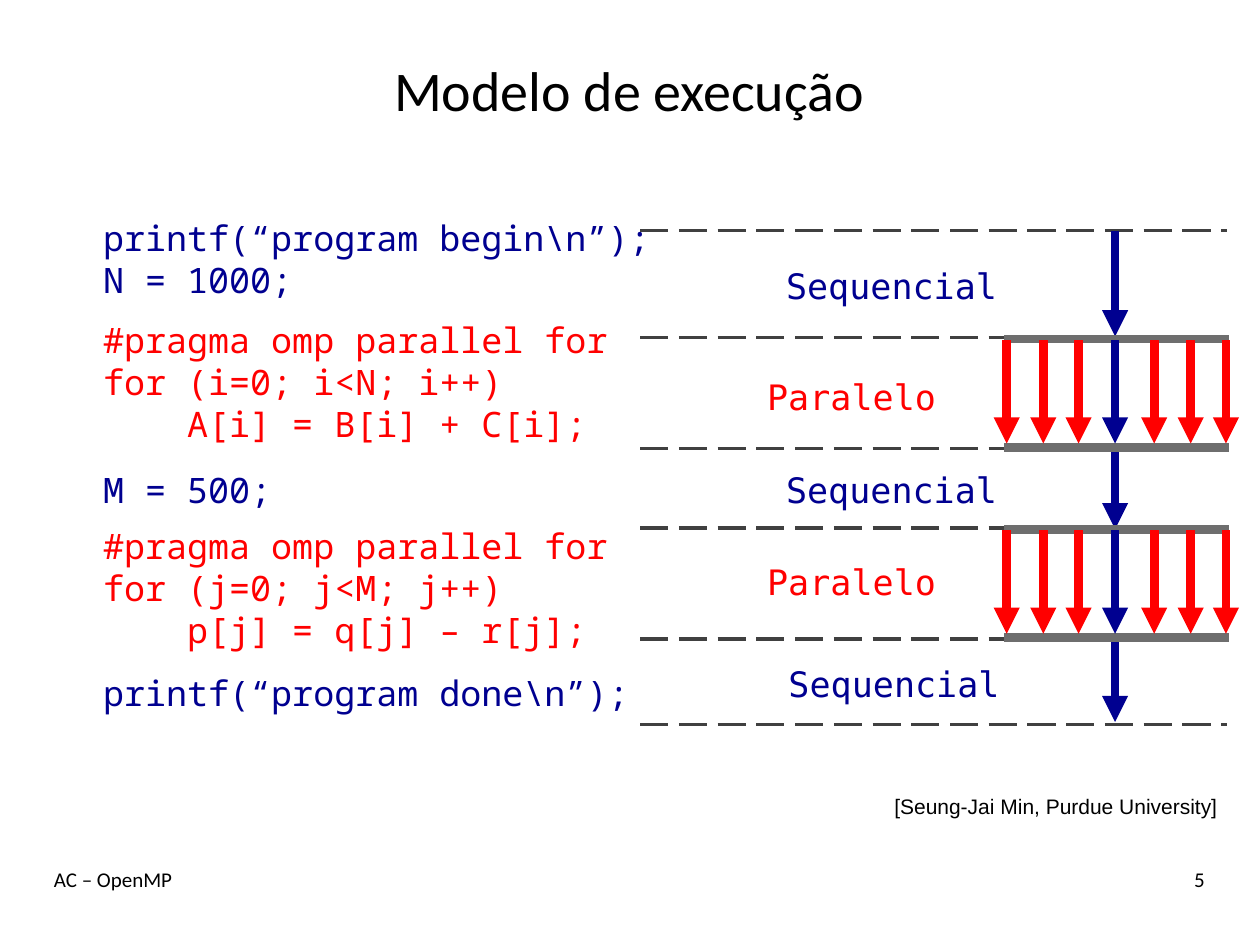
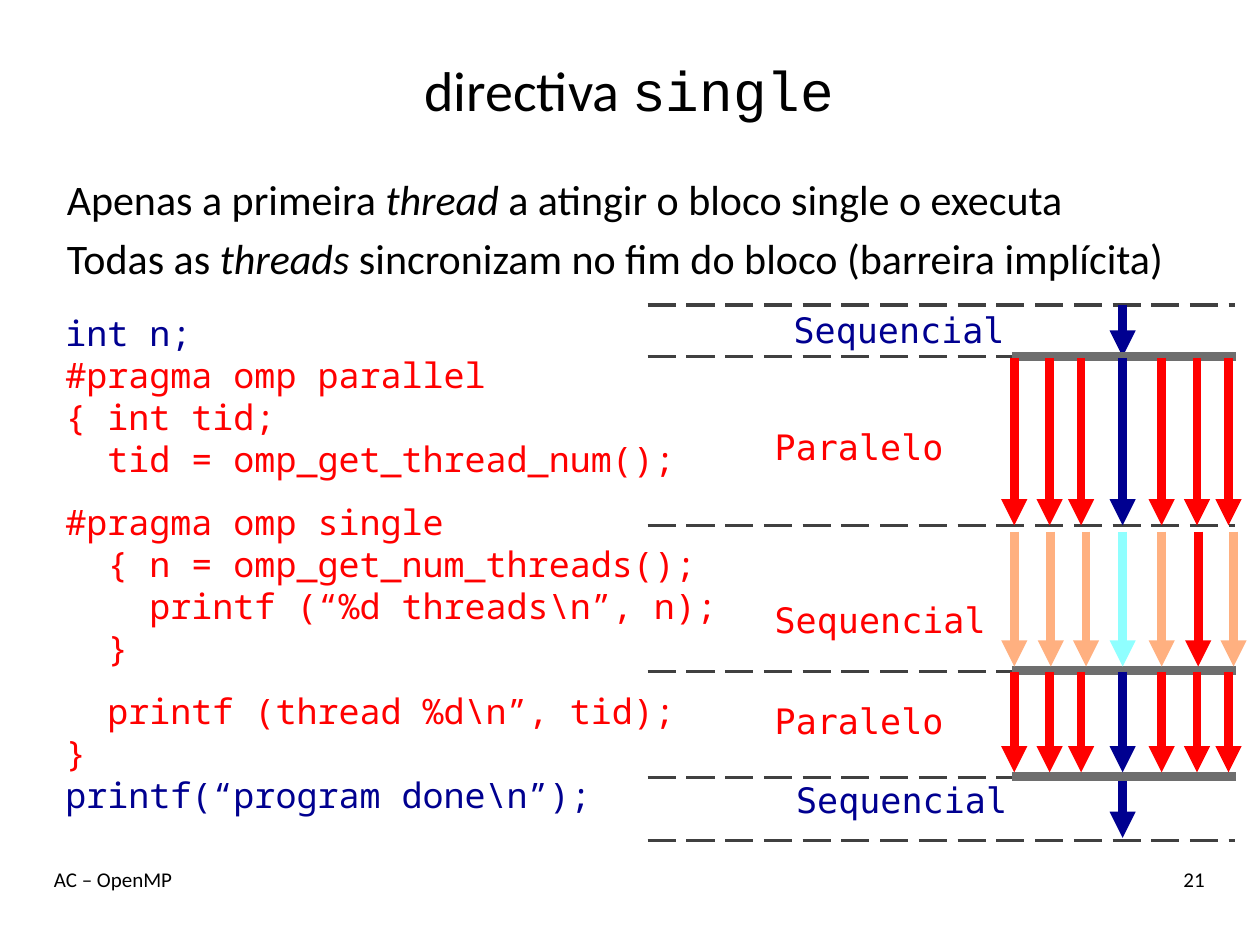
from pptx import Presentation
from pptx.dml.color import RGBColor
from pptx.enum.dml import MSO_LINE
from pptx.enum.shapes import MSO_CONNECTOR
from pptx.enum.text import MSO_ANCHOR, MSO_AUTO_SIZE, PP_ALIGN
from pptx.oxml.ns import qn
from pptx.util import Inches, Pt
from lxml.etree import SubElement

COLORS = {"black": "000000", "navy": "000090", "red": "FF0000", "dash": "404040",
          "bar": "6E6E6E", "idle": "FFB080", "idle_main": "8FFFFF"}
BODY_FONT, CODE_FONT, LABEL_FONT = "Calibri", "Noto Sans Mono", "DejaVu Sans Mono"
FOOTER = "AC – OpenMP"

# Horizontal places of the threads, measured from the main thread
ALONE = (0,)
WIDE = (-0.86, -0.57, -0.29, 0, 0.31, 0.6, 0.88)
TIGHT = (-0.86, -0.58, -0.33, 0, 0.31, 0.59, 0.84)
MAIN = ("navy",)
TEAM = ("red",) * 3 + MAIN + ("red",) * 3
ONE_ACTIVE = ("idle",) * 3 + ("idle_main", "idle", "red", "idle")

# A paragraph is (text or list of runs, format); a run is (text, format)
NAVY, RED = {"color": "navy"}, {"color": "red"}
MODEL_CODE = [
    ("printf(“program begin\\n”);", NAVY),
    ("N = 1000;", {**NAVY, "after": 10}),
    ("#pragma omp parallel for", RED),
    ("for (i=0; i<N; i++) ", RED),
    ("    A[i] = B[i] + C[i];", RED),
    ("M = 500;", {**NAVY, "before": 14, "after": 8}),
    ("#pragma omp parallel for", RED),
    ("for (j=0; j<M; j++) ", RED),
    ("    p[j] = q[j] – r[j];", RED),
    ("printf(“program done\\n”);", {**NAVY, "before": 12}),
]
SINGLE_CODE = [
    ("int n;", NAVY),
    ("#pragma omp parallel ", RED),
    ("{ int tid;", RED),
    ("  tid = omp_get_thread_num();", RED),
    ("#pragma omp single ", {**RED, "before": 12}),
    ("  { n = omp_get_num_threads();", RED),
    ("    printf (“%d threads\\n”, n);", RED),
    ("  }", RED),
    ("  printf (thread %d\\n”, tid);", {**RED, "before": 12}),
    ("}", RED),
    ("printf(“program done\\n”);", NAVY),
]
SINGLE_POINTS = [
    ([("Apenas a primeira ", {}), ("thread", {"italic": True}),
      (" a atingir o bloco single o executa", {})], {}),
    ([("Todas as ", {}), ("threads ", {"italic": True}),
      ("sincronizam no fim do bloco (barreira implícita)", {})], {}),
]

# Phase: label, label left, label top, label colour, arrow top, arrow bottom, offsets, colours
MODEL_DIAGRAM = {
    "main": 8.85,
    "dashes": (1.83, 2.68, 3.56, 4.19, 5.07, 5.75),
    "bars": (2.69, 3.55, 4.2, 5.06),
    "phases": [
        ("Sequencial", 6.14, 2.05, "navy", 1.83, 2.67, ALONE, MAIN),
        ("Paralelo", 5.99, 2.93, "red", 2.7, 3.52, WIDE, TEAM),
        ("Sequencial", 6.14, 3.67, "navy", 3.55, 4.2, ALONE, MAIN),
        ("Paralelo", 5.99, 4.4, "red", 4.21, 5.03, WIDE, TEAM),
        ("Sequencial", 6.16, 5.21, "navy", 5.08, 5.73, ALONE, MAIN),
    ],
}
SINGLE_DIAGRAM = {
    "main": 8.91,
    "dashes": (2.42, 2.83, 4.17, 5.33, 6.17, 6.67),
    "bars": (2.83, 5.32, 6.16),
    "phases": [
        ("Sequencial", 6.2, 2.4, "navy", 2.42, 2.83, ALONE, MAIN),
        ("Paralelo", 6.05, 3.33, "red", 2.84, 4.17, TIGHT, TEAM),
        ("Sequencial", 6.05, 4.7, "red", 4.22, 5.29, WIDE, ONE_ACTIVE),
        ("Paralelo", 6.05, 5.5, "red", 5.33, 6.13, TIGHT, TEAM),
        ("Sequencial", 6.22, 6.13, "navy", 6.2, 6.65, ALONE, MAIN),
    ],
}


def write(shape, paragraphs, *, font=BODY_FONT, size=20, color="black", align=PP_ALIGN.LEFT,
          anchor=MSO_ANCHOR.TOP, wrap=True, pitch=None, before=0, after=0):
    """Fill a shape with paragraphs; paragraph and run formats override the keywords."""
    frame = shape.text_frame
    frame.auto_size = MSO_AUTO_SIZE.NONE
    frame.word_wrap = wrap
    frame.vertical_anchor = anchor
    if isinstance(paragraphs, str):
        paragraphs = [(paragraphs, {})]
    for index, (runs, style) in enumerate(paragraphs):
        paragraph = frame.add_paragraph() if index else frame.paragraphs[0]
        paragraph.alignment = align
        paragraph.space_before = Pt(style.get("before", before))
        paragraph.space_after = Pt(style.get("after", after))
        if pitch:
            paragraph.line_spacing = Pt(pitch)
        for text, run_style in [(runs, {})] if isinstance(runs, str) else runs:
            run = paragraph.add_run()
            run.text = text
            run.font.name = run_style.get("font", font)
            run.font.size = Pt(size)
            run.font.italic = run_style.get("italic")
            run.font.color.rgb = RGBColor.from_string(COLORS[style.get("color", color)])


def place(shape, left, top, width, height):
    """Move and size a placeholder."""
    shape.left, shape.top = Inches(left), Inches(top)
    shape.width, shape.height = Inches(width), Inches(height)


def add_text(shapes, box, paragraphs, **style):
    """Add a text box at (left, top, width, height) in inches."""
    write(shapes.add_textbox(*map(Inches, box)), paragraphs, **style)


def add_line(shapes, start, end, color, width=5, dashed=False, arrow=False):
    """Draw a straight line between two points given in inches."""
    line = shapes.add_connector(MSO_CONNECTOR.STRAIGHT, *map(Inches, start + end))
    line.line.color.rgb = RGBColor.from_string(COLORS[color])
    line.line.width = Pt(width)
    if dashed:
        line.line.dash_style = MSO_LINE.LONG_DASH
    properties = line.element.spPr
    if arrow:
        SubElement(properties.find(qn("a:ln")), qn("a:tailEnd"), type="triangle")
    SubElement(properties, qn("a:effectLst"))


def add_phase(slide, main, phase):
    """Draw one phase as a group: its label and an arrow for each thread."""
    label, left, top, color, start, end, offsets, arrow_colors = phase
    shapes = slide.shapes.add_group_shape().shapes
    for offset, arrow_color in zip(offsets, arrow_colors):
        x = main + offset
        add_line(shapes, (x, start), (x, end), arrow_color, arrow=True)
    width = 0.22 + len(label) / 6
    add_text(shapes, (left, top, width, 0.44), label, font=LABEL_FONT, color=color, wrap=False)


def add_diagram(slide, diagram):
    """Draw the execution diagram: phase limits, lone threads, fork bars, teams."""
    main, phases = diagram["main"], diagram["phases"]
    for y in diagram["dashes"]:
        add_line(slide.shapes, (main - 3.77, y), (main + 0.89, y), "dash", 2, dashed=True)
    for phase in phases:
        if phase[6] == ALONE:
            add_phase(slide, main, phase)
    for y in diagram["bars"]:
        add_line(slide.shapes, (main - 0.88, y), (main + 0.9, y), "bar")
    for phase in phases:
        if phase[6] != ALONE:
            add_phase(slide, main, phase)


def add_slide(presentation, layout, title, number):
    """Add a slide with the shared title style and footers."""
    slide = presentation.slides.add_slide(presentation.slide_layouts[layout])
    place(slide.shapes.title, 0.33, 0.25, 9.33, 0.92)
    write(slide.shapes.title, title, size=32, align=PP_ALIGN.CENTER, anchor=MSO_ANCHOR.MIDDLE)
    add_text(slide.shapes, (0.33, 6.83, 7, 0.5), FOOTER, size=12)
    add_text(slide.shapes, (8.33, 6.83, 1.33, 0.5), number, size=12, align=PP_ALIGN.RIGHT)
    return slide


def add_points(slide, points):
    """Write the body placeholder as plain lines without bullets."""
    body = slide.placeholders[1]
    place(body, 0.43, 1.33, 9.23, 1.08)
    write(body, points, size=24, before=4.8)
    for paragraph in body.text_frame.paragraphs:
        properties = paragraph._p.get_or_add_pPr()
        properties.set("marL", "0")
        properties.set("indent", "0")
        SubElement(properties, qn("a:buNone"))


presentation = Presentation()
presentation.slide_width, presentation.slide_height = Inches(10), Inches(7.5)

model = add_slide(presentation, 5, "Modelo de execução", "5")
add_text(model.shapes, (0.72, 1.67, 4.6, 4.75), MODEL_CODE, font=CODE_FONT, pitch=24, wrap=False)
add_diagram(model, MODEL_DIAGRAM)
add_text(model.shapes, (7, 6.25, 3, 0.3), "[Seung-Jai Min, Purdue University]",
         font="Arial", size=12)

single_title = [([("directiva ", {}), ("single", {"font": "Courier New"})], {})]
single = add_slide(presentation, 1, single_title, "21")
add_points(single, SINGLE_POINTS)
add_text(single.shapes, (0.42, 2.42, 5.42, 4.14), SINGLE_CODE, font=CODE_FONT, pitch=24)
add_diagram(single, SINGLE_DIAGRAM)

presentation.save("out.pptx")
